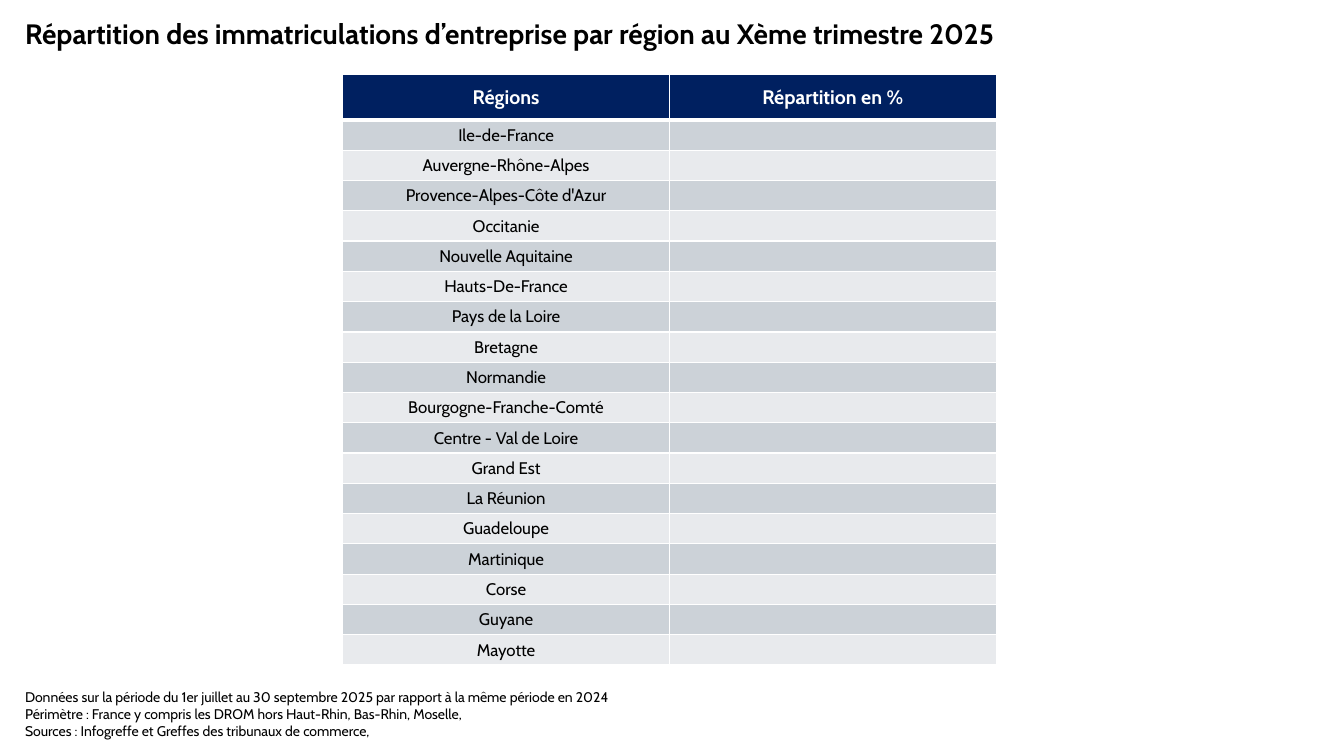
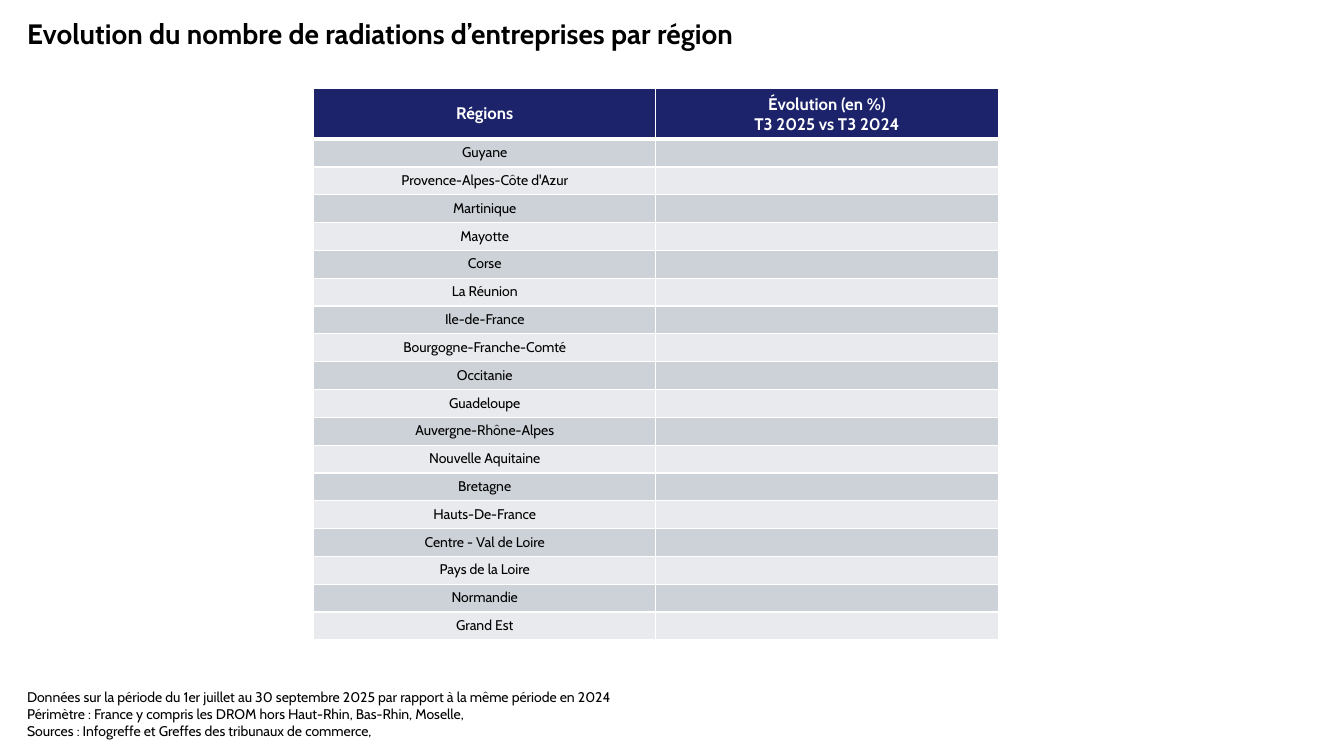
from lxml import etree
from pptx import Presentation
from pptx.dml.color import RGBColor
from pptx.enum.text import MSO_ANCHOR, MSO_AUTO_SIZE, PP_ALIGN
from pptx.oxml.ns import qn
from pptx.util import Inches, Pt

CENTER = PP_ALIGN.CENTER
MIDDLE = MSO_ANCHOR.MIDDLE
GROW = MSO_AUTO_SIZE.SHAPE_TO_FIT_TEXT

FONT = "Cabin"
BLACK = RGBColor(0, 0, 0)
WHITE = RGBColor(255, 255, 255)
NAVY = RGBColor(0x00, 0x20, 0x60)
INDIGO = RGBColor(0x1C, 0x23, 0x6B)
BANDS = (RGBColor(0xCC, 0xD2, 0xD8), RGBColor(0xE8, 0xEA, 0xED))

# Content
NOTES = "\n".join([
    "Données sur la période du 1er juillet au 30 septembre 2025 par rapport à la même période en 2024",
    "Périmètre : France y compris les DROM hors Haut-Rhin, Bas-Rhin, Moselle,",
    "Sources : Infogreffe et Greffes des tribunaux de commerce,",
])

# Table sizes are in inches: box = left, top, width, height
PAGES = [
    {
        "title": "Répartition des immatriculations d’entreprise par région au Xème trimestre 2025",
        "left": 0.15, "width": 11.07,
        "heads": ("Régions", "Répartition en %"),
        "color": NAVY, "box": (3.4, 0.74, 6.48, 5.85), "head": 0.45,
        "sizes": (14, 12),
        "regions": [
            "Ile-de-France", "Auvergne-Rhône-Alpes", "Provence-Alpes-Côte d'Azur",
            "Occitanie", "Nouvelle Aquitaine", "Hauts-De-France",
            "Pays de la Loire", "Bretagne", "Normandie",
            "Bourgogne-Franche-Comté", "Centre - Val de Loire", "Grand Est",
            "La Réunion", "Guadeloupe", "Martinique",
            "Corse", "Guyane", "Mayotte",
        ],
    },
    {
        "title": "Evolution du nombre de radiations d’entreprises par région",
        "left": 0.17, "width": 11.38,
        "heads": ("Régions", "Évolution (en %)\nT3 2025 vs T3 2024"),
        "color": INDIGO, "box": (3.11, 0.88, 6.79, 5.47), "head": 0.5,
        "sizes": (12, 10),
        "regions": [
            "Guyane", "Provence-Alpes-Côte d'Azur", "Martinique",
            "Mayotte", "Corse", "La Réunion",
            "Ile-de-France", "Bourgogne-Franche-Comté", "Occitanie",
            "Guadeloupe", "Auvergne-Rhône-Alpes", "Nouvelle Aquitaine",
            "Bretagne", "Hauts-De-France", "Centre - Val de Loire",
            "Pays de la Loire", "Normandie", "Grand Est",
        ],
    },
]


def style(frame, size, color=BLACK, bold=False):
    for para in frame.paragraphs:
        for run in para.runs:
            font = run.font
            font.name, font.size, font.bold = FONT, Pt(size), bold
            font.color.rgb = color


def add_text(slide, box, text, size, bold=False):
    frame = slide.shapes.add_textbox(*map(Inches, box)).text_frame
    frame.word_wrap = True
    frame.auto_size = GROW
    frame.text = text
    style(frame, size, bold=bold)


def add_edges(cell, top, bottom):
    props = cell._tc.get_or_add_tcPr()
    for side, width in (("L", 1), ("R", 1), ("T", top), ("B", bottom)):
        line = etree.SubElement(props, qn(f"a:ln{side}"), w=str(Pt(width)))
        fill = etree.SubElement(line, qn("a:solidFill"))
        etree.SubElement(fill, qn("a:srgbClr"), val=str(WHITE))


def fill_cell(cell, text, size, fill, color, bold, edges):
    add_edges(cell, *edges)
    cell.fill.solid()
    cell.fill.fore_color.rgb = fill
    cell.text = text
    frame = cell.text_frame
    for para in frame.paragraphs:
        para.alignment = CENTER
        if not text:  # keeps an empty cell from stretching its row
            etree.SubElement(para._p, qn("a:endParaRPr"), sz=str(size * 100))
    style(frame, size, color, bold)


def add_grid(slide, page):
    rows = [page["heads"]] + [(name, "") for name in page["regions"]]
    box = page["box"]
    table = slide.shapes.add_table(len(rows), 2, *map(Inches, box)).table
    step = (box[3] - page["head"]) / len(page["regions"])
    big, small = page["sizes"]
    for r, row in enumerate(rows):
        table.rows[r].height = Inches(step if r else page["head"])
        for c, text in enumerate(row):
            cell = table.cell(r, c)
            if r:
                edges = (3 if r == 1 else 1, 1)
                fill_cell(cell, text, small, BANDS[(r - 1) % 2], BLACK, False, edges)
            else:
                cell.vertical_anchor = MIDDLE
                fill_cell(cell, text, big, page["color"], WHITE, True, (1, 3))


def main():
    deck = Presentation()
    deck.slide_width, deck.slide_height = Inches(13.33), Inches(7.5)
    for page in PAGES:
        slide = deck.slides.add_slide(deck.slide_layouts[6])
        left = page["left"]
        add_text(slide, (left, 0.11, page["width"], 0.44), page["title"], 20, True)
        add_grid(slide, page)
        add_text(slide, (left, 6.78, 9.73, 0.61), NOTES, 10)
    deck.save("out.pptx")


if __name__ == "__main__":
    main()
